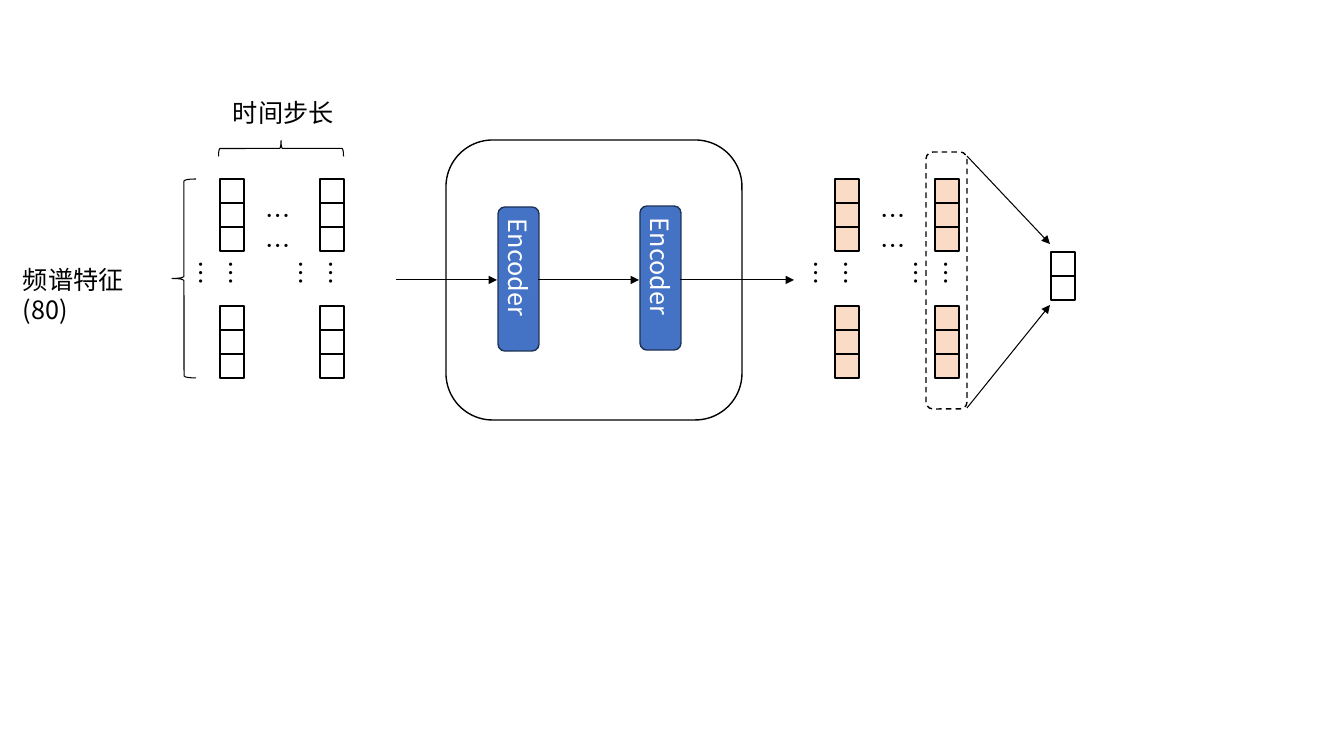
from lxml import etree
from pptx import Presentation
from pptx import util as u
from pptx.dml.color import RGBColor
from pptx.enum import dml, shapes, text
from pptx.oxml import ns

SCALE = 914400 / 100.8
FONT = "Noto Sans CJK SC"
BLACK, WHITE, BLUE, NAVY, ORANGE = "000000", "FFFFFF", "4472C4", "1E3256", "F4B183"
kinds = shapes.MSO_SHAPE

deck = Presentation()
deck.slide_width, deck.slide_height = round(1344 * SCALE), round(756 * SCALE)
page = deck.slides.add_slide(deck.slide_layouts[6])


def add_box(kind, bounds, fill=None, line=BLACK, weight=1, alpha=None, rotation=0):
    box = page.shapes.add_shape(kind, *[round(length * SCALE) for length in bounds])
    box.shadow.inherit = False
    box.rotation = rotation
    if fill:
        box.fill.solid()
        box.fill.fore_color.rgb = RGBColor.from_string(fill)
    else:
        box.fill.background()
    if alpha:
        color = box.fill._xPr.find(".//" + ns.qn("a:srgbClr"))
        etree.SubElement(color, ns.qn("a:alpha")).set("val", str(alpha * 1000))
    if line:
        box.line.color.rgb = RGBColor.from_string(line)
        box.line.width = u.Pt(weight)
    else:
        box.line.fill.background()
    return box


def write(box, words, color=BLACK, align=text.PP_ALIGN.LEFT, anchor=text.MSO_ANCHOR.TOP):
    frame = box.text_frame
    frame.text = words
    frame.word_wrap = True
    frame.vertical_anchor = anchor
    para = frame.paragraphs[0]
    para.alignment = align
    span = para.runs[0]
    span.font.size = u.Pt(18)
    span.font.name = FONT
    span.font.color.rgb = RGBColor.from_string(color)
    east_asian = etree.SubElement(span.font._element, ns.qn("a:ea"))
    east_asian.set("typeface", FONT)


for words, bounds in [("时间步长", (223, 92, 122, 40)), ("频谱特征(80)", (13, 259, 162, 40))]:
    write(page.shapes.add_textbox(*[round(length * SCALE) for length in bounds]), words)

add_box(kinds.LEFT_BRACE, (273, 86, 16, 125), weight=0.75, rotation=90)
add_box(kinds.LEFT_BRACE, (172, 179, 24, 199), weight=0.75)
add_box(kinds.ROUNDED_RECTANGLE, (446, 140, 296, 280))

CELL = 24
for grid_left, fill, alpha, backing in [(220, None, None, None), (835, ORANGE, 46, WHITE)]:
    columns = (grid_left, grid_left + 100)
    dots = [(grid_left + 36, 195, 0)] + [(column - 16, 259, 90) for column in columns]
    for left, top, rotation in dots:
        write(add_box(kinds.RECTANGLE, (left, top, 56, 40), backing, None, rotation=rotation), "……")
    for column in columns:
        for group_top in (179, 306):
            for row in range(3):
                bounds = (column, group_top + row * CELL, CELL, CELL)
                add_box(kinds.RECTANGLE, bounds, fill, alpha=alpha)

for left, top in [(498, 207), (640, 206)]:
    encoder = add_box(kinds.ROUNDED_RECTANGLE, (left, top, 41, 144), BLUE, NAVY)
    write(encoder, "Encoder", WHITE, text.PP_ALIGN.CENTER, text.MSO_ANCHOR.MIDDLE)
    encoder.text_frame._txBody.bodyPr.set("vert", "eaVert")

last_step = add_box(kinds.ROUNDED_RECTANGLE, (926, 152, 41, 257))
last_step.line.dash_style = dml.MSO_LINE.DASH

for row in range(2):
    add_box(kinds.RECTANGLE, (1051, 252 + row * CELL, CELL, CELL))

arrows = [
    (396, 280, 497, 280),
    (538, 280, 639, 280),
    (680, 280, 794, 280),
    (967, 156, 1050, 244),
    (967, 408, 1050, 305),
]
for ends in arrows:
    points = [round(length * SCALE) for length in ends]
    arrow = page.shapes.add_connector(shapes.MSO_CONNECTOR.STRAIGHT, *points)
    arrow.line.color.rgb = RGBColor.from_string(BLACK)
    arrow.line.width = u.Pt(0.75)
    etree.SubElement(arrow.line._get_or_add_ln(), ns.qn("a:tailEnd")).set("type", "triangle")
    etree.SubElement(arrow._element.spPr, ns.qn("a:effectLst"))

deck.save("out.pptx")
